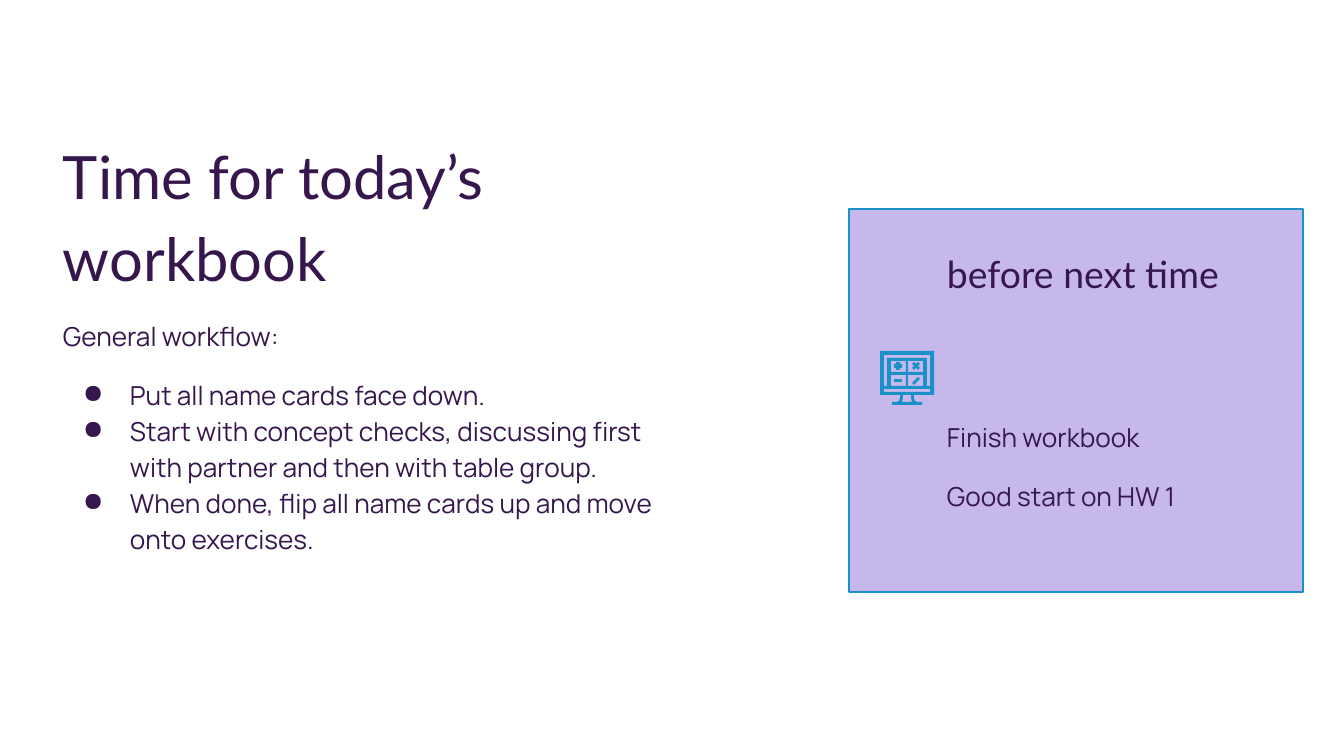
from dataclasses import dataclass

from lxml.etree import SubElement
from pptx import Presentation
from pptx.dml.color import RGBColor
from pptx.enum.shapes import MSO_SHAPE as Shape
from pptx.enum.text import MSO_ANCHOR as Anchor
from pptx.oxml.ns import qn
from pptx.util import Pt

EMU_PER_PX = 914400 / 134.4
INSET = 13
BULLET_LEFT, BULLET_HANG = 67, 47


@dataclass(frozen=True)
class Theme:
    ink: RGBColor = RGBColor(0x36, 0x17, 0x4D)
    panel: RGBColor = RGBColor(0xC6, 0xB8, 0xEB)
    accent: RGBColor = RGBColor(0x1B, 0x91, 0xCA)
    heading_font: str = "Lato"
    body_font: str = "Manrope"
    title_size: int = 32
    heading_size: int = 20
    body_size: int = 14
    line_spacing: float = 1.15
    paragraph_gap: int = 12


THEME = Theme()


def px(length):
    return round(length * EMU_PER_PX)


def add_panel(slide, left, top, width, height):
    panel = slide.shapes.add_shape(
        Shape.RECTANGLE, px(left), px(top), px(width), px(height))
    panel.shadow.inherit = False
    panel.fill.solid()
    panel.fill.fore_color.rgb = THEME.panel
    panel.line.color.rgb = THEME.accent
    panel.line.width = Pt(0.75)


def add_text_frame(slide, left, top, width, height, top_inset=INSET):
    frame = slide.shapes.add_textbox(
        px(left), px(top), px(width), px(height)).text_frame
    frame.word_wrap = True
    frame.vertical_anchor = Anchor.TOP
    frame.margin_left = frame.margin_right = frame.margin_bottom = px(INSET)
    frame.margin_top = px(top_inset)
    return frame


def write_heading(frame, wording, size, spacing):
    """Fill the first paragraph of the frame."""
    heading = frame.paragraphs[0]
    heading.line_spacing = spacing
    style_run(heading, wording, THEME.heading_font, size)


def write_line(frame, wording, gap=0):
    line = frame.add_paragraph()
    line.line_spacing = THEME.line_spacing
    line.space_before = Pt(gap)
    style_run(line, wording, THEME.body_font, THEME.body_size)
    return line


def style_run(paragraph, wording, font, size):
    run = paragraph.add_run()
    run.text = wording
    run.font.name = font
    run.font.size = Pt(size)
    run.font.color.rgb = THEME.ink


def add_bullet(paragraph):
    props = paragraph._p.get_or_add_pPr()
    props.set("marL", str(px(BULLET_LEFT)))
    props.set("indent", str(-px(BULLET_HANG)))
    bullet_color = SubElement(props, qn("a:buClr"))
    SubElement(bullet_color, qn("a:srgbClr"), val=str(THEME.ink))
    SubElement(props, qn("a:buChar"), char="●")


def box(left, top, right, bottom):
    return [(left, top), (right, top), (right, bottom), (left, bottom)]


def around(center_x, center_y, offsets):
    return [(center_x + dx, center_y + dy) for dx, dy in offsets]


def add_outline(group, left, top, contours):
    """Draw closed contours as one shape; inner contours become holes."""
    first, *others = contours
    builder = group.shapes.build_freeform(*first[0], scale=EMU_PER_PX)
    builder.add_line_segments(first[1:], close=True)
    for contour in others:
        builder.move_to(*contour[0])
        builder.add_line_segments(contour[1:], close=True)
    outline = builder.convert_to_shape(px(left), px(top))
    outline.shadow.inherit = False
    outline.fill.solid()
    outline.fill.fore_color.rgb = THEME.accent
    outline.line.fill.background()


def add_calculator_screen(slide, left, top):
    monitor = [(0, 0), (0, 44), (20, 44), (20, 47), (19, 50), (16, 51),
               (12, 51), (12, 54), (42, 54), (42, 51), (38, 51), (35, 50),
               (34, 47), (34, 44), (54, 44), (54, 0)]
    bezel = [(50, 4), (50, 35), (47, 35), (47, 7), (7, 7), (7, 35),
             (4, 35), (4, 4)]
    chin = box(4, 38, 50, 41)
    stand = [(31, 44), (31, 47), (32, 51), (22, 51), (23, 47), (23, 44)]
    panes = [box(x1, y1, x2, y2)
             for y1, y2 in ((10, 21), (24, 35))
             for x1, x2 in ((11, 26), (28, 43))]
    plus = around(18, 15, [
        (-2, -4), (-2, -2), (-4, -2), (-4, 2), (-2, 2), (-2, 4),
        (2, 4), (2, 2), (4, 2), (4, -2), (2, -2), (2, -4)])
    times = around(36, 15, [
        (-2, -4), (-4, -2), (-2, 0), (-4, 2), (-2, 4), (0, 2),
        (2, 4), (4, 2), (2, 0), (4, -2), (2, -4), (0, -2)])
    minus = box(14, 28, 22, 31)
    slash = around(36, 30, [(2, -4), (-4, 2), (-2, 4), (4, -2)])

    icon = slide.shapes.add_group_shape()
    add_outline(icon, left, top, [monitor, bezel, chin, stand, *panes])
    for symbol in (plus, times, minus, slash):
        add_outline(icon, left, top, [symbol])


def add_workflow(slide):
    workflow = add_text_frame(slide, 50, 116, 659, 532)
    write_heading(workflow, "Time for today’s workbook",
                  THEME.title_size, THEME.line_spacing)
    write_line(workflow, "General workflow:", THEME.paragraph_gap)
    steps = (
        "Put all name cards face down.",
        "Start with concept checks, discussing first with partner "
        "and then with table group.",
        "When done, flip all name cards up and move onto exercises.",
    )
    for number, step in enumerate(steps):
        gap = 0 if number else THEME.paragraph_gap
        add_bullet(write_line(workflow, step, gap))


def add_homework(slide):
    add_panel(slide, 849, 209, 454, 383)
    homework = add_text_frame(slide, 934, 116, 339, 543, top_inset=135)
    write_heading(homework, "before next time", THEME.heading_size, 1.0)
    write_line(homework, "Finish workbook", gap=65)
    write_line(homework, "Good start on HW 1", THEME.paragraph_gap)
    add_calculator_screen(slide, 880, 351)


def main():
    deck = Presentation()
    deck.slide_width, deck.slide_height = px(1344), px(756)
    slide = deck.slides.add_slide(deck.slide_layouts[6])
    add_workflow(slide)
    add_homework(slide)
    deck.save("out.pptx")


if __name__ == "__main__":
    main()
